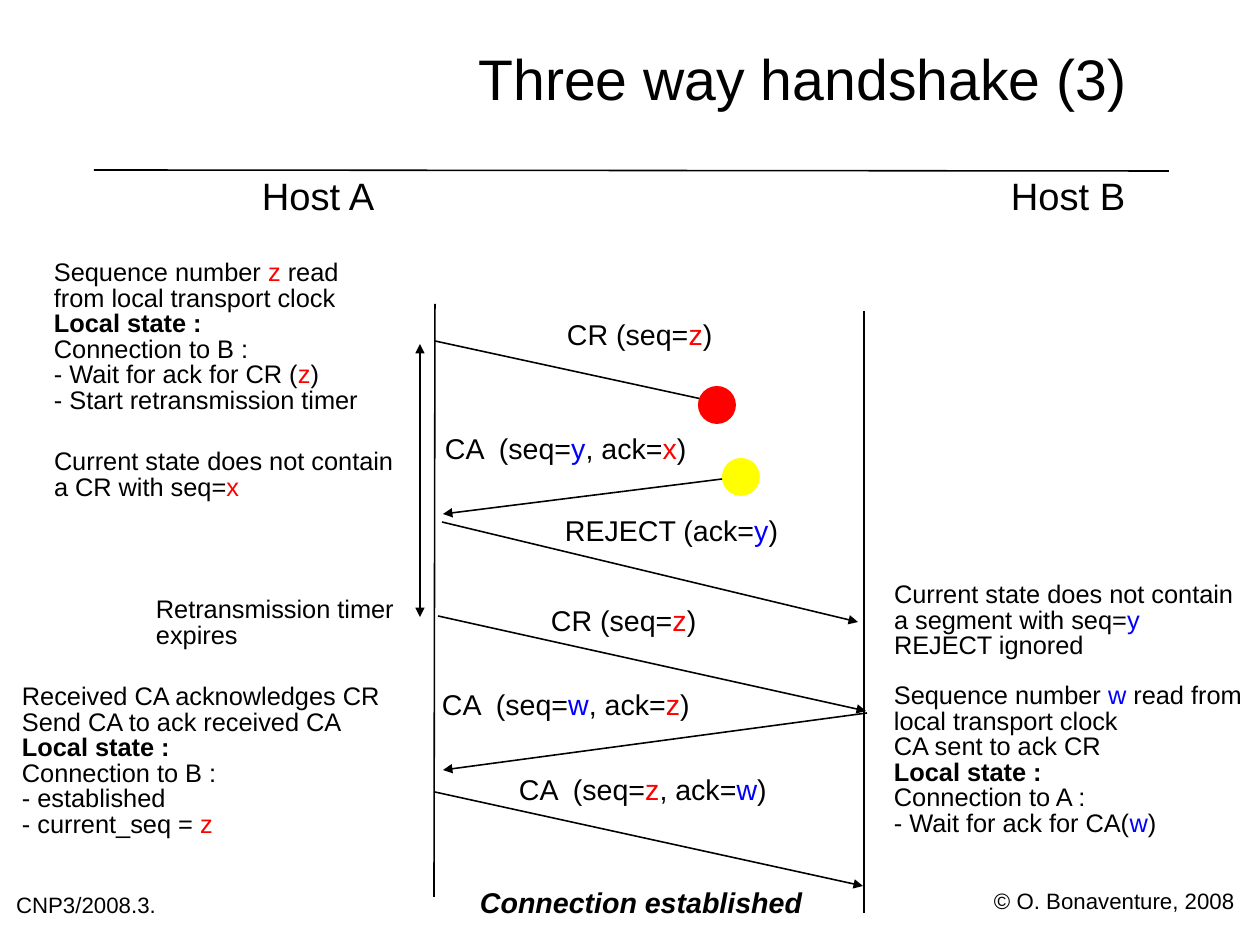
"""Build the "Three way handshake (3)" time-sequence slide."""
from dataclasses import dataclass

from lxml.etree import SubElement
from pptx import Presentation
from pptx.dml.color import RGBColor
from pptx.enum.shapes import MSO_CONNECTOR as Connector, MSO_SHAPE as Preset
from pptx.enum.text import MSO_ANCHOR as Anchor, MSO_AUTO_SIZE as AutoSize, PP_ALIGN as Align
from pptx.oxml.ns import qn
from pptx.slide import Slide
from pptx.text.text import TextFrame
from pptx.util import Emu, Pt

EMU_PER_PX = 8000
FONT = "Arial"
COLOURS = {"black": "000000", "red": "FF0000", "blue": "0000FF", "yellow": "FFFF00"}
VARIABLE_COLOURS = {"z": "red", "x": "red", "y": "blue", "w": "blue"}
BOLD_LINE = "Local state :"


@dataclass
class Line:
    x1: int
    y1: int
    x2: int
    y2: int
    ends: tuple[str, ...] = ()


@dataclass
class Dot:
    left: int
    top: int
    colour: str
    size: int = 38


@dataclass
class Label:
    """Text block whose variables stand between bars."""

    left: int
    top: int
    width: int
    height: int
    lines: tuple[str, ...]
    size: int = 16
    spacing: float = 0.84
    emphasis: bool = False
    inset: int = 0


END = ("tailEnd",)
BOTH = ("headEnd", "tailEnd")

LINES = (
    Line(94, 170, 1169, 171),
    Line(435, 304, 434, 897),
    Line(864, 311, 864, 913),
    Line(435, 341, 720, 403, END),
    Line(738, 477, 443, 514, END),
    Line(442, 522, 858, 622, END),
    Line(438, 616, 866, 711, END),
    Line(867, 713, 443, 770, END),
    Line(435, 792, 863, 886, END),
    Line(420, 344, 420, 617, BOTH),
)

DOTS = (Dot(698, 386, "red"), Dot(722, 458, "yellow"))

TITLE = Label(426, 0, 753, 167, ("Three way handshake (3)",), 36)

LABELS = (
    Label(257, 176, 125, 42, ("Host A",), 24, 0.93, inset=5),
    Label(1006, 176, 125, 42, ("Host B",), 24, 0.93, inset=5),
    Label(567, 322, 148, 29, ("CR (seq=|z|)",), 18),
    Label(445, 436, 245, 29, ("CA  (seq=|y|, ack=|x|)",), 18),
    Label(565, 519, 216, 29, ("REJECT (ack=|y|)",), 18),
    Label(551, 609, 148, 29, ("CR (seq=|z|)",), 18),
    Label(442, 693, 251, 29, ("CA  (seq=|w|, ack=|z|)",), 18),
    Label(519, 777, 251, 29, ("CA  (seq=|z|, ack=|w|)",), 18),
    Label(480, 887, 325, 33, ("Connection established",), 18, 0.97, True),
    Label(54, 261, 307, 153, (
        "Sequence number |z| read\nfrom local transport clock", BOLD_LINE,
        "Connection to B :", "- Wait for ack for CR (|z|)", "- Start retransmission timer")),
    Label(54, 450, 348, 51, ("Current state does not contain", "a CR with seq=|x|")),
    Label(156, 598, 241, 51, ("Retransmission timer", "expires")),
    Label(22, 685, 361, 153, (
        "Received CA acknowledges CR", "Send CA to ack received CA", BOLD_LINE,
        "Connection to B :", "- established", "- current_seq = |z|")),
    Label(894, 583, 348, 77, (
        "Current state does not contain", "a segment with seq=|y|", "REJECT ignored")),
    Label(894, 684, 352, 158, (
        "Sequence number |w| read from\nlocal transport clock", "CA sent to ack CR",
        BOLD_LINE, "Connection to A :", "- Wait for ack for CA(|w|)")),
    Label(16, 896, 192, 27, ("CNP3/2008.3.",), 14),
    Label(994, 892, 243, 23, ("© O. Bonaventure, 2008",), 14),
)


def px(length: int) -> Emu:
    return Emu(length * EMU_PER_PX)


def rgb(name: str) -> RGBColor:
    return RGBColor.from_string(COLOURS[name])


def fill_text(frame: TextFrame, label: Label, align: Align) -> None:
    frame.margin_top = frame.margin_bottom = frame.margin_right = 0
    frame.margin_left = px(label.inset)
    for index, line in enumerate(label.lines):
        paragraph = frame.add_paragraph() if index else frame.paragraphs[0]
        paragraph.alignment = align
        paragraph.line_spacing = label.spacing
        font = paragraph.font
        font.name, font.size = FONT, Pt(label.size)
        font.bold = label.emphasis or line == BOLD_LINE
        font.italic = label.emphasis
        font.color.rgb = rgb("black")
        for position, part in enumerate(line.split("|")):
            for row, text in enumerate(part.split("\n")):
                if row:
                    paragraph.add_line_break()
                if text:
                    run = paragraph.add_run()
                    run.text = text
                    if position % 2:
                        run.font.color.rgb = rgb(VARIABLE_COLOURS[text])


def set_title(slide: Slide, label: Label) -> None:
    title = slide.shapes.title
    title.left, title.top = px(label.left), px(label.top)
    title.width, title.height = px(label.width), px(label.height)
    title.text_frame.vertical_anchor = Anchor.MIDDLE
    title.text_frame.auto_size = AutoSize.NONE
    fill_text(title.text_frame, label, Align.CENTER)


def draw_line(slide: Slide, line: Line) -> None:
    connector = slide.shapes.add_connector(
        Connector.STRAIGHT, px(line.x1), px(line.y1), px(line.x2), px(line.y2))
    connector.line.color.rgb = rgb("black")
    connector.line.width = Pt(1)
    outline = connector.line._get_or_add_ln()
    for end in line.ends:
        SubElement(outline, qn(f"a:{end}"), type="triangle")
    SubElement(connector._element.spPr, qn("a:effectLst"))


def draw_dot(slide: Slide, dot: Dot) -> None:
    shape = slide.shapes.add_shape(
        Preset.OVAL, px(dot.left), px(dot.top), px(dot.size), px(dot.size))
    shape.shadow.inherit = False
    shape.fill.solid()
    shape.fill.fore_color.rgb = rgb(dot.colour)
    shape.line.fill.background()


def draw_label(slide: Slide, label: Label) -> None:
    box = slide.shapes.add_textbox(
        px(label.left), px(label.top), px(label.width), px(label.height))
    box.text_frame.word_wrap = False
    box.text_frame.auto_size = AutoSize.SHAPE_TO_FIT_TEXT
    fill_text(box.text_frame, label, Align.LEFT)


def main() -> None:
    presentation = Presentation()
    presentation.slide_width, presentation.slide_height = px(1260), px(945)
    slide = presentation.slides.add_slide(presentation.slide_layouts[5])
    set_title(slide, TITLE)
    for line in LINES:
        draw_line(slide, line)
    for dot in DOTS:
        draw_dot(slide, dot)
    for label in LABELS:
        draw_label(slide, label)
    presentation.save("out.pptx")


if __name__ == "__main__":
    main()
